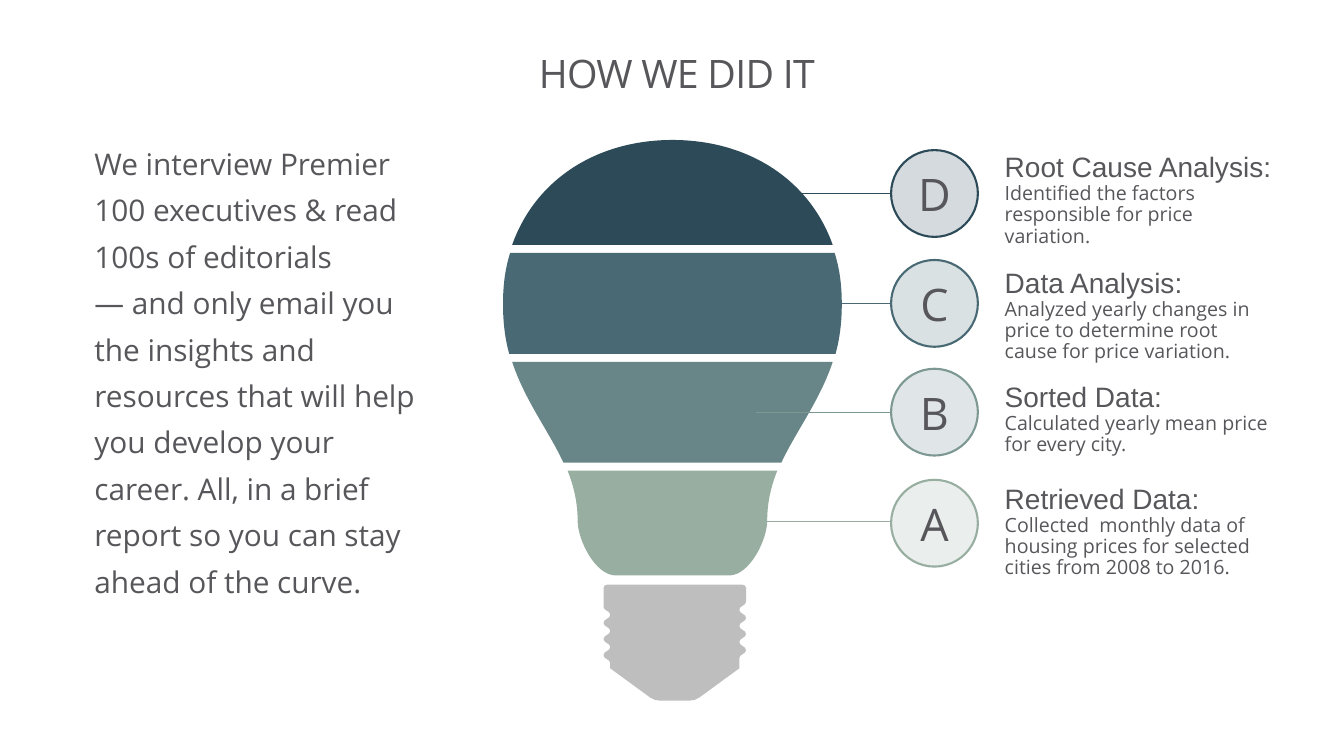
import pptx
import pptx.util
import pptx.dml.color
import pptx.enum.shapes
import pptx.enum.text
import pptx.oxml.ns
import lxml.etree

Pt = pptx.util.Pt
qn = pptx.oxml.ns.qn
SHAPE = pptx.enum.shapes.MSO_SHAPE
ALIGN = pptx.enum.text.PP_ALIGN
ANCHOR = pptx.enum.text.MSO_ANCHOR


def rgb(value):
    return pptx.dml.color.RGBColor.from_string(value)


def mirror(steps):
    flipped = [[(-x, y) for x, y in zip(step[::2], step[1::2])] for step in steps]
    result = [flipped[-1][-1]]
    for before, step in zip(flipped[-2::-1], flipped[:0:-1]):
        points = step[-2::-1] + [before[-1]]
        result.append(tuple(value for point in points for value in point))
    return result


def base_side(thread_top):
    steps = [(48, 417.6), (49.4, 417.6, 50.9, 418.3, 50.9, 419.8), (50.9, thread_top)]
    pitch = 5.76
    for i in range(7):
        x0, x1 = (50.9, 46.1) if i % 2 == 0 else (46.1, 50.9)
        y = thread_top + i * pitch
        steps.append((x0, y + pitch / 2, x1, y + pitch / 2, x1, y + pitch))
    return steps + [(46.1, 477.4), (17.6, 498.2), (15.5, 499.7, 13.3, 500.4, 11, 500.4)]


class Deck:
    font = "Open Sans"
    ink = "57565A"

    def __init__(self, width, height):
        self.prs = pptx.Presentation()
        self.prs.slide_width = Pt(width)
        self.prs.slide_height = Pt(height)
        self.s = self.prs.slides.add_slide(self.prs.slide_layouts[6])

    def fill(self, sp, color, alpha=100):
        sp.shadow.inherit = False
        sp.fill.solid()
        sp.fill.fore_color.rgb = rgb(color)
        if alpha < 100:
            clr = sp._element.spPr.find(qn("a:solidFill"))[0]
            lxml.etree.SubElement(clr, qn("a:alpha")).set("val", str(alpha * 1000))

    def style(self, p, size, font=None, spacing=None, align=ALIGN.LEFT):
        p.alignment = align
        p.line_spacing = spacing
        for r in p.runs:
            r.font.size = Pt(size)
            r.font.name = font or self.font
            r.font.color.rgb = rgb(self.ink)

    def text(self, x, y, w, h, items, spacing, align=ALIGN.LEFT):
        sp = self.s.shapes.add_textbox(Pt(x), Pt(y), Pt(w), Pt(h))
        tf = sp.text_frame
        tf.word_wrap = True
        tf.text = "\n".join(item[0] for item in items)
        for p, (_, size, font) in zip(tf.paragraphs, items):
            self.style(p, size, font, spacing, align)
        return tf

    def title(self, x, y, w, h, text):
        tf = self.text(x, y, w, h, [(text, 28, self.font)], 0.86, ALIGN.CENTER)
        tf.vertical_anchor = ANCHOR.MIDDLE
        tf.margin_left = tf.margin_right = tf.margin_top = tf.margin_bottom = 0
        tf.paragraphs[0].runs[0].font._element.set("spc", "-50")

    def outline(self, center, right, left, color, alpha=100):
        steps = [[(Pt(center + x), Pt(y)) for x, y in zip(step[::2], step[1::2])]
                 for step in right + mirror(left)]
        fb = self.s.shapes.build_freeform(*steps[0][-1])
        fb.add_line_segments([step[-1] for step in steps[1:]], close=True)
        sp = fb.convert_to_shape()
        segments = list(sp._element.iter(qn("a:lnTo")))
        for segment, step in zip(segments, steps[1:]):
            if len(step) == 3:
                segment.tag = qn("a:cubicBezTo")
                for i, (x, y) in enumerate(step[:2]):
                    pt = lxml.etree.Element(qn("a:pt"))
                    pt.set("x", str(x - sp.left))
                    pt.set("y", str(y - sp.top))
                    segment.insert(i, pt)
        self.fill(sp, color, alpha)
        sp.line.fill.background()

    def line(self, x1, x2, y, color):
        c = self.s.shapes.add_connector(
            pptx.enum.shapes.MSO_CONNECTOR.STRAIGHT, Pt(x1), Pt(y), Pt(x2), Pt(y))
        c.line.color.rgb = rgb(color)
        c.line.width = Pt(0.75)
        lxml.etree.SubElement(c._element.spPr, qn("a:effectLst"))

    def badge(self, x, y, size, letter, color, edge):
        sp = self.s.shapes.add_shape(SHAPE.OVAL, Pt(x), Pt(y), Pt(size), Pt(size))
        self.fill(sp, color, 20)
        sp.line.color.rgb = rgb(edge)
        sp.line.width = Pt(1.5)
        tf = sp.text_frame
        tf.text = letter
        tf.word_wrap = False
        tf.vertical_anchor = ANCHOR.MIDDLE
        self.style(tf.paragraphs[0], 32, align=ALIGN.CENTER)


BULB_CENTER = 480.3
BASE_CENTER = 482
BADGE_LEFT = 636.5
NBSP = chr(160)

GLASS = [
    ("2C4A58", [(0, 100), (54, 100, 97.9, 128.2, 114.5, 175)]),
    ("496A75", [(115.9, 180.7), (119.5, 192.2, 121, 203.8, 121, 217.4),
                (121, 230.4, 119.5, 241.9, 116.6, 252.7)]),
    ("688687", [(114.5, 258.5), (105.1, 286.6, 88.6, 307.4, 77.8, 330.5)]),
    ("97AEA0", [(74.9, 336.2), (70.6, 347, 67.7, 358.6, 67.7, 372.2),
                (67.7, 385.2, 55.4, 411.1, 40.3, 411.1)]),
]

STEPS = [
    ("D", "2C4A58", (540, 138.2), 107.2, (106.2, 206.6, 92), "Root Cause Analysis:",
     ["Identified the factors responsible for price variation."]),
    ("C", "496A75", (570.2, 216.7), 185.7, (188.6, 206.6, 92), "Data Analysis:",
     ["Analyzed yearly changes in price to determine root cause for price variation."]),
    ("B", "7D9892", (540, 294.6), 263.4, (270, 206.6, 100), "Sorted Data:",
     ["Calculated yearly mean price for every city."]),
    ("A", "97AEA0", (516.2, 372.2), 342.7, (343, 223.2, 123), "Retrieved Data:",
     ["Collected  monthly data of", "housing prices for selected cities from 2008 to 2016."]),
]


def main():
    deck = Deck(960, 540)
    deck.title(72, 22.3, 816, 64, " HOW WE DID IT")
    deck.outline(BASE_CENTER, base_side(429.8), base_side(433.4), "7F7F7F", 50)
    for color, side in GLASS:
        deck.outline(BULB_CENTER, side, side, color)
    for (color, _), step in zip(GLASS, STEPS):
        letter, edge, (start, level), badge_top, (top, width, height), heading, body = step
        deck.line(start, BADGE_LEFT, level, edge)
        deck.badge(BADGE_LEFT, badge_top, 62, letter, color, edge)
        items = [(heading, 20, "Arial")] + [(t, 14, deck.font) for t in body]
        deck.text(710.6, top, width, height, items, 0.9)
    intro = ("We interview Premier 100 executives & read 100s of editorials "
             f"―{NBSP}and only email you the insights and resources that will help you "
             f"develop your career.{NBSP}All,{NBSP}in a brief report so you can stay "
             "ahead of the curve.")
    deck.text(60.4, 92.6, 252, 342, [(intro, 21.3, deck.font)], 1.3)
    deck.prs.save("out.pptx")


if __name__ == "__main__":
    main()
